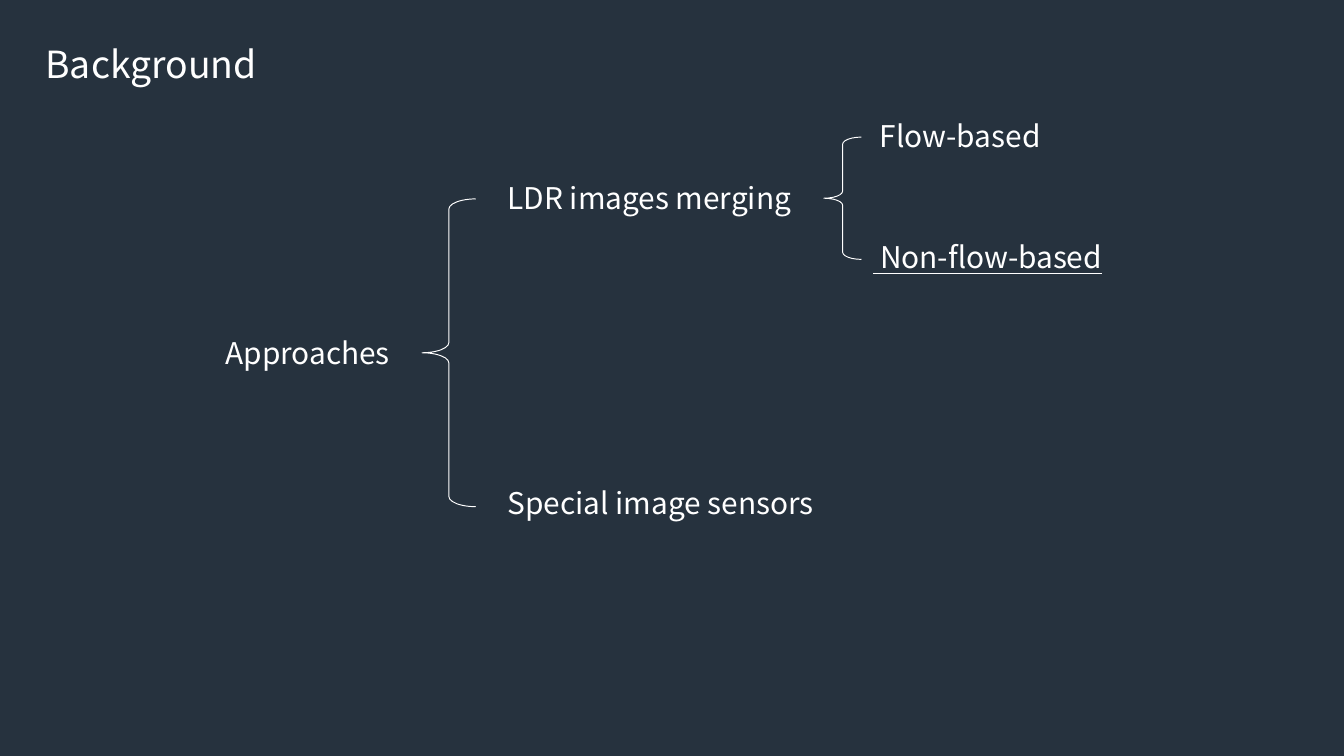
from pptx import Presentation
from pptx.dml.color import RGBColor as RGB
from pptx.enum.shapes import MSO_SHAPE as Preset
from pptx.enum.text import MSO_AUTO_SIZE as AutoSize
from pptx.util import Pt

# Content: text, left, top, width, underlined
TITLE = ("Background", 17.28, 18.72, 129.6, False)
LABELS = [
    ("Approaches", 113.76, 175.68, 106.56, False),
    ("LDR images merging", 264.96, 92.88, 176.4, False),
    ("Special image sensors", 264.96, 256.32, 184.32, False),
    (" Flow-based", 460.8, 59.76, 113.04, False),
    (" Non-flow-based", 460.8, 124.56, 150.48, True),
]
# Braces: left, top, width, height
BRACES = [
    (226.08, 106.56, 28.8, 164.88),
    (441.36, 73.44, 20.16, 65.52),
]
THEME = {
    "background": RGB(0x26, 0x32, 0x3E),
    "ink": RGB(0xFF, 0xFF, 0xFF),
    "font": "Noto Sans CJK SC",
    "title": 20,
    "label": 16,
    "line": 0.5,
    "brace_curve": 0.19,
}
TITLE_HEIGHT, LABEL_HEIGHT = 31.68, 26.64


def add_text(slide, item, height, size):
    text, left, top, width, underlined = item
    box = slide.shapes.add_textbox(Pt(left), Pt(top), Pt(width), Pt(height))
    frame = box.text_frame
    frame.word_wrap = False
    frame.auto_size = AutoSize.SHAPE_TO_FIT_TEXT
    frame.text = text
    font = frame.paragraphs[0].runs[0].font
    font.name = THEME["font"]
    font.size = Pt(size)
    font.color.rgb = THEME["ink"]
    if underlined:
        font.underline = True


def add_brace(slide, bounds):
    brace = slide.shapes.add_shape(Preset.LEFT_BRACE, *map(Pt, bounds))
    brace.adjustments[0] = THEME["brace_curve"]
    brace.shadow.inherit = False
    brace.fill.background()
    brace.line.color.rgb = THEME["ink"]
    brace.line.width = Pt(THEME["line"])


def main():
    presentation = Presentation()
    presentation.slide_width, presentation.slide_height = Pt(720), Pt(405)
    slide = presentation.slides.add_slide(presentation.slide_layouts[6])
    slide.background.fill.solid()
    slide.background.fill.fore_color.rgb = THEME["background"]

    # Title
    add_text(slide, TITLE, TITLE_HEIGHT, THEME["title"])

    # Tree of approaches
    for bounds in BRACES:
        add_brace(slide, bounds)
    for label in LABELS:
        add_text(slide, label, LABEL_HEIGHT, THEME["label"])

    presentation.save("out.pptx")


if __name__ == "__main__":
    main()
